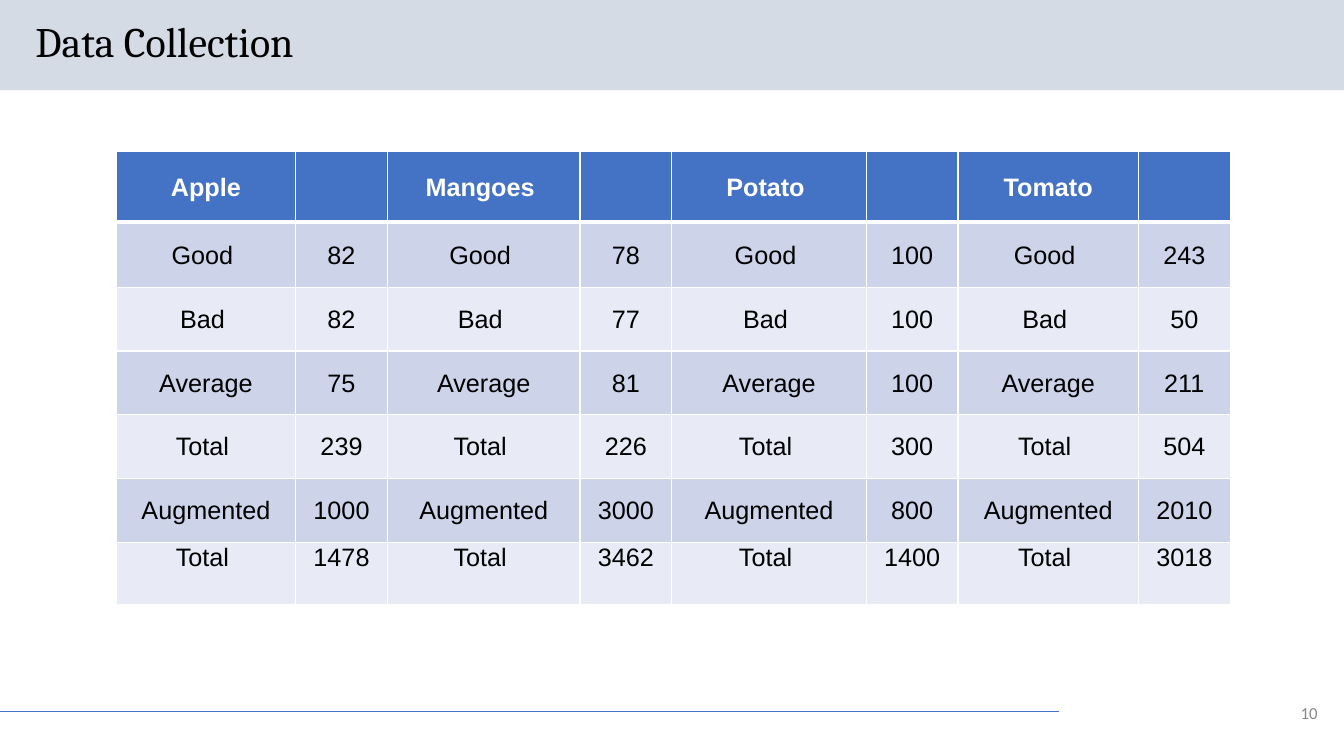
from dataclasses import dataclass

from lxml.etree import SubElement
from pptx import Presentation
from pptx.dml.color import RGBColor as Rgb
from pptx.enum.shapes import MSO_CONNECTOR as Link, MSO_SHAPE as Kind
from pptx.enum.text import MSO_ANCHOR as Anchor, MSO_AUTO_SIZE as Fit, PP_ALIGN as Align
from pptx.oxml.ns import qn
from pptx.util import Pt


@dataclass(frozen=True)
class Theme:
    ink: str = "000000"
    white: str = "FFFFFF"
    grey: str = "888888"
    band: str = "D5DBE5"
    blue: str = "4472C4"
    dark: str = "CDD4EA"
    pale: str = "E8EBF5"
    head: str = "Cambria"
    body: str = "Arial"
    foot: str = "Calibri"
    big: int = 30
    mid: int = 18
    small: int = 12


def write(frame, text, font, size, color, bold=False, align=Align.LEFT, space=None):
    par = frame.paragraphs[0]
    par.alignment = align
    par.line_spacing = space
    run = par.add_run()
    run.text = text
    run.font.name, run.font.size, run.font.bold = font, Pt(size), bold
    run.font.color.rgb = Rgb.from_string(color)


def edge(cell, side, width, color):
    """Draw one border; call before the cell gets its fill."""
    line = SubElement(cell._tc.get_or_add_tcPr(), qn(f"a:ln{side}"), w=str(Pt(width)))
    fill = SubElement(line, qn("a:solidFill"))
    SubElement(fill, qn("a:srgbClr"), val=color)


class Page:
    def __init__(self, deck, theme):
        self.theme = theme
        self.slide = deck.slides.add_slide(deck.slide_layouts[5])
        self.shapes = self.slide.shapes

    def band(self, *box):
        shape = self.shapes.add_shape(Kind.RECTANGLE, *map(Pt, box))
        shape.shadow.inherit = False
        shape.fill.solid()
        shape.fill.fore_color.rgb = Rgb.from_string(self.theme.band)
        shape.line.fill.background()

    def rule(self, *ends):
        line = self.shapes.add_connector(Link.STRAIGHT, *map(Pt, ends))
        line.line.width = Pt(0.75)
        line.line.color.rgb = Rgb.from_string(self.theme.blue)
        SubElement(line.element.spPr, qn("a:effectLst"))

    def title(self, text, *box):
        look, shape = self.theme, self.shapes.title
        self.shapes.element.append(shape.element)  # lift above the band
        shape.left, shape.top, shape.width, shape.height = map(Pt, box)
        frame = shape.text_frame
        frame.vertical_anchor = Anchor.MIDDLE
        frame.auto_size = Fit.SHAPE_TO_FIT_TEXT
        write(frame, text, look.head, look.big, look.ink, space=0.9)

    def number(self, text, *box):
        look = self.theme
        frame = self.shapes.add_textbox(*map(Pt, box)).text_frame
        frame.word_wrap = True
        frame.vertical_anchor = Anchor.MIDDLE
        write(frame, text, look.foot, look.small, look.grey, align=Align.RIGHT)

    def table(self, rows, left, top, wides, highs):
        box = map(Pt, (left, top, sum(wides), sum(highs)))
        grid = self.shapes.add_table(len(rows), len(wides), *box).table
        for col, wide in zip(grid.columns, wides):
            col.width = Pt(wide)
        for r, (row, high) in enumerate(zip(rows, highs)):
            grid.rows[r].height = Pt(high)
            for c, text in enumerate(row):
                self.cell(grid.cell(r, c), text, r, r == len(rows) - 1)

    def cell(self, cell, text, r, last):
        look, head = self.theme, r == 0
        cell.margin_left = cell.margin_right = cell.margin_top = Pt(0.72)
        cell.margin_bottom = 0
        cell.vertical_anchor = Anchor.TOP if last else Anchor.MIDDLE
        sides = {"L": 1, "R": 1, "T": 3 if r == 1 else 1, "B": 3 if head else 1}
        for side, width in sides.items():
            edge(cell, side, width, look.white)
        tint = look.blue if head else (look.pale, look.dark)[r % 2]
        cell.fill.solid()
        cell.fill.fore_color.rgb = Rgb.from_string(tint)
        if text:
            write(cell.text_frame, text, look.body, look.mid,
                  look.white if head else look.ink, bold=head, align=Align.CENTER)


LABELS = ["Good ", "Bad ", "Average", "Total ", "Augmented", "Total "]
CROPS = {
    "Apple": [82, 82, 75, 239, 1000, 1478],
    "Mangoes ": [78, 77, 81, 226, 3000, 3462],
    "Potato ": [100, 100, 100, 300, 800, 1400],
    "Tomato": [243, 50, 211, 504, 2010, 3018],
}
NAMES = [128.2, 137.7, 139, 128.9]
COUNT = 65.5


def main():
    deck = Presentation()
    deck.slide_width, deck.slide_height = Pt(960), Pt(540)
    page = Page(deck, Theme())
    page.band(0, 0, 960, 64.5)
    page.rule(0, 508.3, 756.5, 508.3)
    page.title("Data Collection", 18, 11.5, 828, 40.3)

    rows = [[text for crop in CROPS for text in (crop, "")]]
    for label, counts in zip(LABELS, zip(*CROPS.values())):
        rows.append([text for n in counts for text in (label, str(n))])
    wides = [wide for name in NAMES for wide in (name, COUNT)]
    page.table(rows, 83, 108.3, wides, [50.4, 46.6] + [45.5] * 4 + [44.3])

    page.number("10", 916.6, 494.6, 31.7, 28.8)
    deck.save("out.pptx")


if __name__ == "__main__":
    main()
